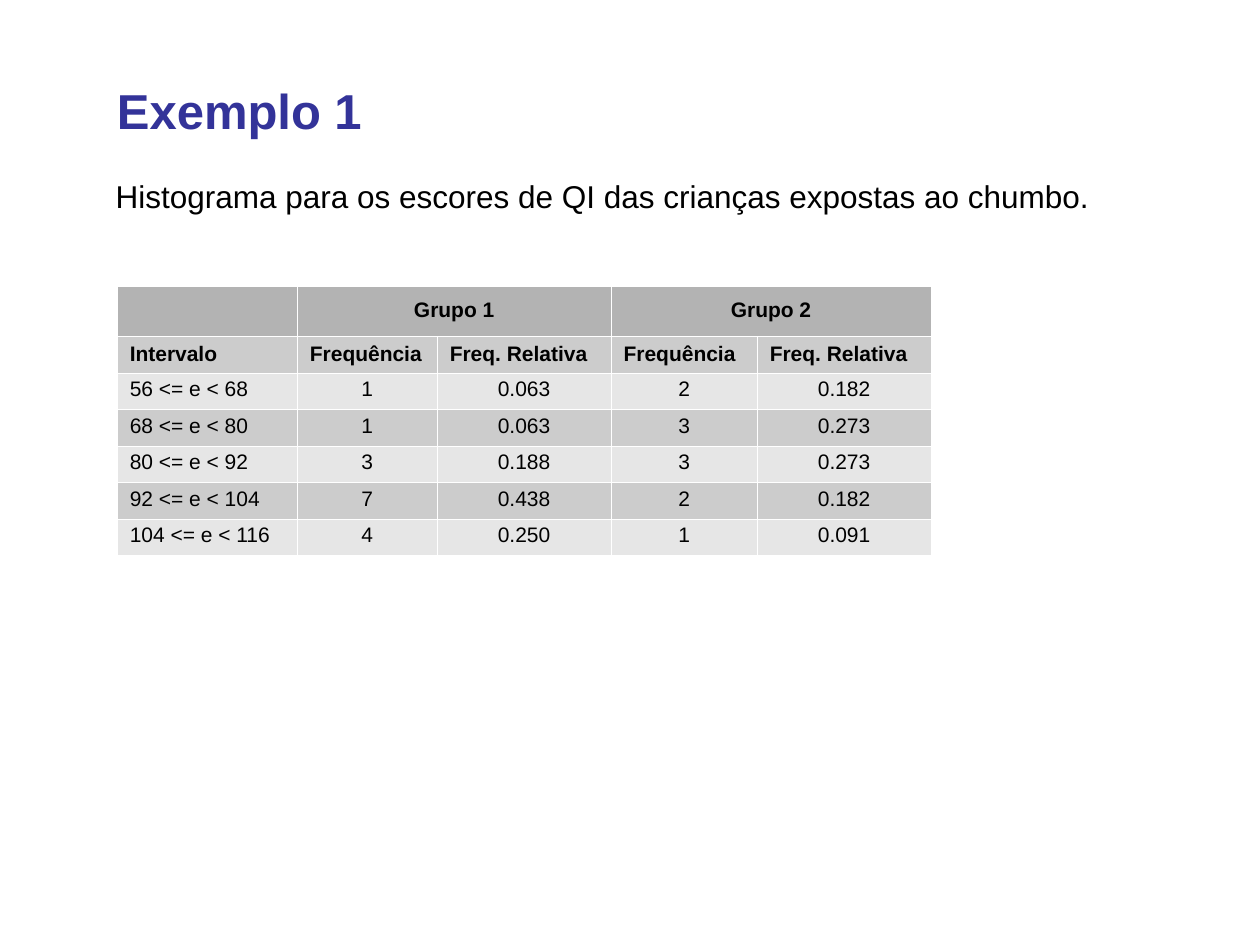
from lxml.etree import SubElement
from pptx import Presentation
from pptx.dml.color import RGBColor
from pptx.enum.text import MSO_ANCHOR as Anchor, PP_ALIGN as Align
from pptx.oxml.ns import qn
from pptx.util import Inches, Pt

COL_WIDTHS = [1.43, 1.11, 1.38, 1.16, 1.38]
ROW_HEIGHTS = [0.4] + [0.29] * 6
ROWS = [
    ["", "Grupo 1", "", "Grupo 2", ""],
    ["Intervalo"] + ["Frequência", "Freq. Relativa"] * 2,
    ["56 <= e < 68", "1", "0.063", "2", "0.182"],
    ["68 <= e < 80", "1", "0.063", "3", "0.273"],
    ["80 <= e < 92", "3", "0.188", "3", "0.273"],
    ["92 <= e < 104", "7", "0.438", "2", "0.182"],
    ["104 <= e < 116", "4", "0.250", "1", "0.091"],
]


def rgb(color):
    return RGBColor.from_string(color)


def write(tf, text, size=12, color="000000", bold=False, align=Align.LEFT, spacing=None):
    p = tf.paragraphs[0]
    p.alignment = align
    p.line_spacing = spacing
    r = p.add_run()
    r.text = text
    r.font.name = "Arial"
    r.font.size = Pt(size)
    r.font.bold = bold
    r.font.color.rgb = rgb(color)


def add_text(s, box, text, anchor=Anchor.TOP, **fmt):
    tf = s.shapes.add_textbox(*map(Inches, box)).text_frame
    tf.word_wrap = True
    tf.vertical_anchor = anchor
    write(tf, text, **fmt)


def add_borders(cell, color="FFFFFF", width=0.06):
    tc_pr = cell._tc.get_or_add_tcPr()
    for side in ("a:lnL", "a:lnR", "a:lnT", "a:lnB"):
        ln = SubElement(tc_pr, qn(side), w=str(Pt(width)))
        SubElement(SubElement(ln, qn("a:solidFill")), qn("a:srgbClr"), val=color)


def add_frequency_table(s, box):
    table = s.shapes.add_table(len(ROWS), len(COL_WIDTHS), *map(Inches, box)).table
    for col, width in zip(table.columns, COL_WIDTHS):
        col.width = Inches(width)
    for row, height in zip(table.rows, ROW_HEIGHTS):
        row.height = Inches(height)
    for i, row in enumerate(ROWS):
        fill = "B3B3B3" if i == 0 else ("E6E6E6", "CCCCCC")[i % 2]
        for j, text in enumerate(row):
            cell = table.cell(i, j)
            add_borders(cell)
            cell.fill.solid()
            cell.fill.fore_color.rgb = rgb(fill)
            cell.margin_left = cell.margin_right = Inches(0.1)
            cell.margin_top = cell.margin_bottom = Inches(0.05)
            cell.vertical_anchor = Anchor.MIDDLE if i < 2 else Anchor.TOP
            if text:
                align = Align.LEFT if i == 1 or j == 0 else Align.CENTER
                write(cell.text_frame, text, bold=i < 2, align=align, spacing=0.93)
    for j in (1, 3):
        table.cell(0, j).merge(table.cell(0, j + 1))


def main():
    prs = Presentation()
    prs.slide_width, prs.slide_height = Inches(10), Inches(7.5)
    s = prs.slides.add_slide(prs.slide_layouts[6])
    add_text(s, (0.83, 0.56, 8.51, 0.63), "Exemplo 1", anchor=Anchor.MIDDLE,
             size=28, color="333399", bold=True)
    add_text(s, (0.82, 1.36, 8.28, 0.64),
             "Histograma para os escores de QI das crianças expostas ao chumbo.", size=18)
    add_frequency_table(s, (0.93, 2.27, sum(COL_WIDTHS), sum(ROW_HEIGHTS)))
    prs.save("out.pptx")


if __name__ == "__main__":
    main()
